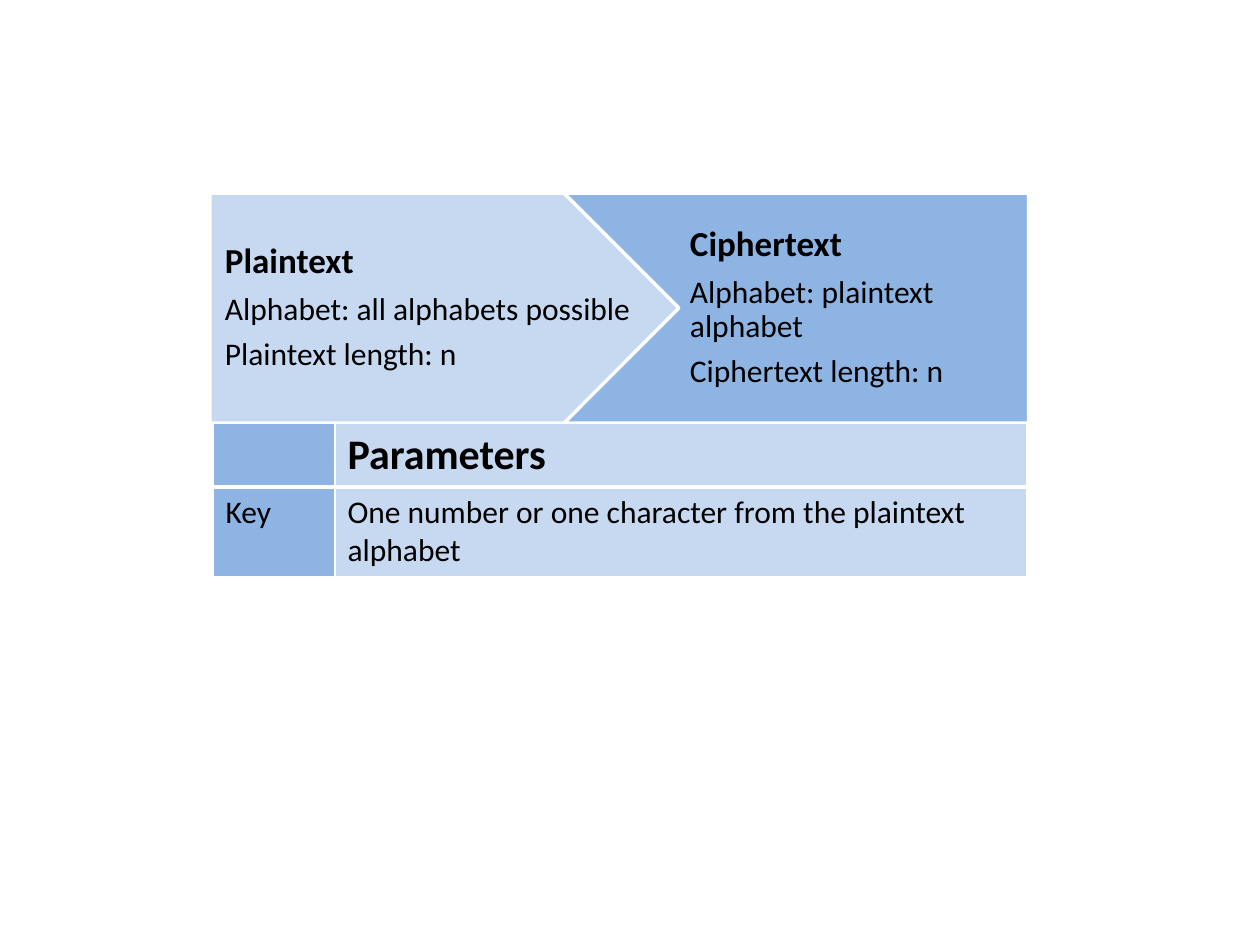
from dataclasses import dataclass

from lxml import etree
from pptx import Presentation
from pptx.dml.color import RGBColor
from pptx.enum.shapes import MSO_SHAPE
from pptx.enum.text import MSO_ANCHOR, PP_ALIGN
from pptx.oxml.ns import qn
from pptx.util import Inches, Pt

PENTAGON, CHEVRON, RECTANGLE = MSO_SHAPE.PENTAGON, MSO_SHAPE.CHEVRON, MSO_SHAPE.RECTANGLE
MIDDLE, LEFT = MSO_ANCHOR.MIDDLE, PP_ALIGN.LEFT
PX_PER_INCH = 126


def px(length):
    return round(Inches(length) / PX_PER_INCH)


@dataclass(frozen=True)
class Theme:
    font: str = "Calibri"
    ink: str = "000000"
    white: str = "FFFFFF"
    light: str = "C6D9F1"
    medium: str = "8EB4E3"
    body: int = 18
    heading: int = 20
    table_heading: int = 24
    outline: float = 2
    thin: float = 0.96
    thick: float = 3


class SlideBuilder:
    def __init__(self, slide, theme):
        self.slide = slide
        self.theme = theme

    def _paint(self, target, color):
        target.fill.solid()
        target.fill.fore_color.rgb = RGBColor.from_string(color)

    def _style(self, paragraph, size, bold):
        font = paragraph.font
        font.name, font.size, font.bold = self.theme.font, Pt(size), bold
        font.color.rgb = RGBColor.from_string(self.theme.ink)

    def shape(self, kind, box, color, parent=None):
        shape = (parent or self.slide).shapes.add_shape(kind, *map(px, box))
        shape.shadow.inherit = False
        self._paint(shape, color)
        shape.line.fill.background()
        return shape

    def arrow(self, group, kind, box, color, left_inset, lines):
        """Add an outlined arrow with a bold heading and body lines."""
        arrow = self.shape(kind, box, color, group)
        arrow.line.color.rgb = RGBColor.from_string(self.theme.white)
        arrow.line.width = Pt(self.theme.outline)
        frame = arrow.text_frame
        frame.word_wrap = True
        frame.vertical_anchor = MIDDLE
        frame.margin_left, frame.margin_right = px(left_inset), px(4)
        frame.margin_top = frame.margin_bottom = px(8)
        frame.text = "\n".join(lines)
        for index, paragraph in enumerate(frame.paragraphs):
            size = self.theme.body if index else self.theme.heading
            self._style(paragraph, size, index == 0)
            paragraph.alignment = LEFT
            paragraph.line_spacing = 0.9
            paragraph.space_after = Pt(size * 0.35)

    def _border(self, cell, side, width):
        line = etree.Element(qn(f"a:{side}"), w=str(Pt(width)))
        fill = etree.SubElement(line, qn("a:solidFill"))
        etree.SubElement(fill, qn("a:srgbClr"), val=self.theme.white)
        return line

    def _borders(self, cell, top, bottom):
        """Insert the border lines ahead of the cell fill, as the schema requires."""
        widths = {"lnL": self.theme.thin, "lnR": self.theme.thin, "lnT": top, "lnB": bottom}
        properties = cell._tc.get_or_add_tcPr()
        for index, (side, width) in enumerate(widths.items()):
            properties.insert(index, self._border(cell, side, width))

    def table(self, box, columns, heights, rows):
        theme = self.theme
        table = self.slide.shapes.add_table(len(rows), len(columns), *map(px, box)).table
        for column, width in zip(table.columns, columns):
            column.width = px(width)
        for row, height in zip(table.rows, heights):
            row.height = px(height)
        for r, texts in enumerate(rows):
            header = r == 0
            for c, text in enumerate(texts):
                cell = table.cell(r, c)
                cell.text = text
                self._paint(cell, theme.light if c else theme.medium)
                size = theme.table_heading if header and text else theme.body
                self._style(cell.text_frame.paragraphs[0], size, header)
                if header:
                    self._borders(cell, theme.thin, theme.thick)
                else:
                    self._borders(cell, theme.thick, theme.thin)


def main():
    deck = Presentation()
    deck.slide_width, deck.slide_height = Inches(10), Inches(7.5)
    theme = Theme()
    slide = deck.slides.add_slide(deck.slide_layouts[6])
    builder = SlideBuilder(slide, theme)

    process = slide.shapes.add_group_shape()
    builder.arrow(process, PENTAGON, (210, 193, 496, 230), theme.light, 15,
                  ["Plaintext", "Alphabet: all alphabets possible", "Plaintext length: n"])
    builder.arrow(process, CHEVRON, (564, 193, 581, 230), theme.medium, 11,
                  ["Ciphertext", "Alphabet: plaintext alphabet", "Ciphertext length: n"])
    # Covers the chevron's point so that the process ends in a straight edge.
    builder.shape(RECTANGLE, (1027, 145, 118, 307), theme.white)

    builder.table((213, 423, 814, 111), (122, 692), (59, 52), [
        ("", "Parameters"),
        ("Key", "One number or one character from the plaintext alphabet"),
    ])
    deck.save("out.pptx")


if __name__ == "__main__":
    main()
